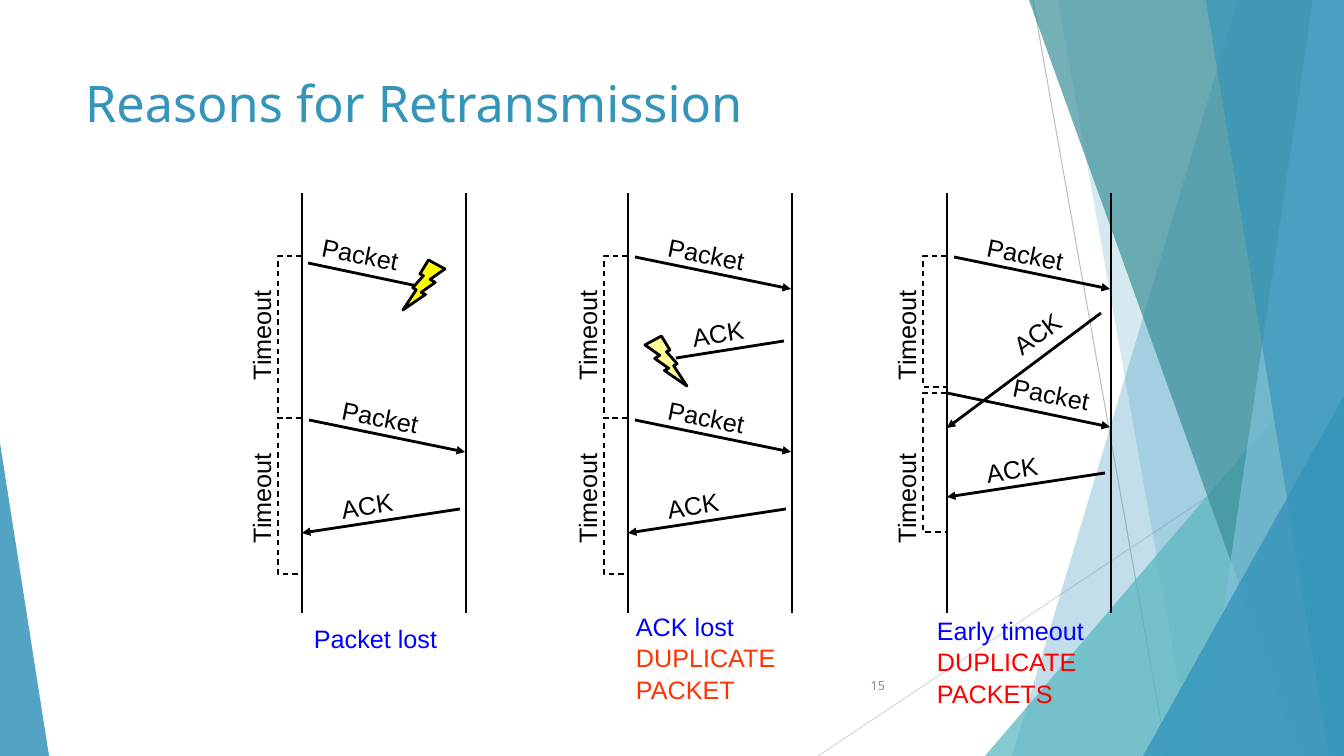
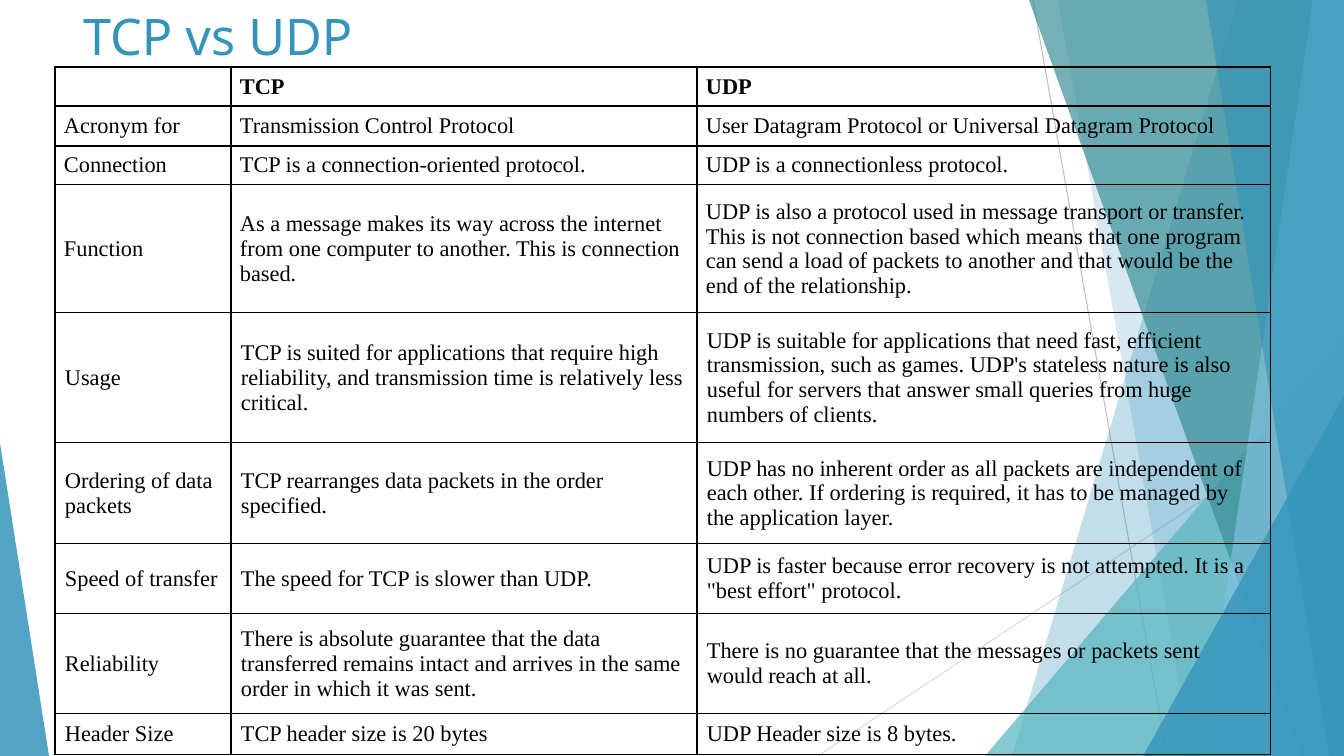
"""Build two slides on packet loss and on TCP against UDP."""
from dataclasses import dataclass
from typing import NamedTuple

from lxml import etree
from pptx import Presentation
from pptx.dml.color import RGBColor
from pptx.enum.dml import MSO_LINE
from pptx.enum.shapes import MSO_CONNECTOR, MSO_SHAPE
from pptx.enum.text import MSO_ANCHOR, MSO_AUTO_SIZE, PP_ALIGN
from pptx.oxml.ns import qn
from pptx.util import Emu, Pt

PX = 914400 / 100.8
WIDE, HIGH = 1344, 756
DASH = MSO_LINE.DASH
STRAIGHT = MSO_CONNECTOR.STRAIGHT
BOLT, TRIANGLE = MSO_SHAPE.LIGHTNING_BOLT, MSO_SHAPE.ISOSCELES_TRIANGLE
TOP, MIDDLE = MSO_ANCHOR.TOP, MSO_ANCHOR.MIDDLE
NO_FIT = MSO_AUTO_SIZE.NONE
LEFT, RIGHT = PP_ALIGN.LEFT, PP_ALIGN.RIGHT
HEAD_FONT, BODY_FONT, CELL_FONT = "Noto Sans", "Arial", "Times New Roman"

BLACK = RGBColor(0x00, 0x00, 0x00)
BLUE = RGBColor(0x34, 0x94, 0xBA)
AQUA = RGBColor(0x58, 0xB6, 0xC0)
TEAL = RGBColor(0x3A, 0x8F, 0x98)
SKY = RGBColor(0x7F, 0xC1, 0xDB)
SILVER = RGBColor(0xBF, 0xBF, 0xBF)
PALE = RGBColor(0xD9, 0xD9, 0xD9)
GREY = RGBColor(0x8C, 0x8C, 0x8C)
INK = RGBColor(0x00, 0x00, 0xFF)
ORANGE = RGBColor(0xFF, 0x33, 0x00)
RED = RGBColor(0xFF, 0x00, 0x00)
YELLOW = RGBColor(0xFF, 0xFF, 0x00)
CREAM = RGBColor(0xFF, 0xFF, 0x99)


class Spot(NamedTuple):
    """A point in pixels."""
    x: int
    y: int


class Box(NamedTuple):
    """A frame in pixels."""
    x: int
    y: int
    wide: int
    high: int


@dataclass(frozen=True)
class Band:
    """A backdrop band from the top edge to the foot, out to the right edge."""
    top: int
    foot: int
    tint: RGBColor
    alpha: int


@dataclass(frozen=True)
class Wedge:
    """A backdrop triangle whose tip is at 0 (left) or 1 (right)."""
    box: Box
    tip: int
    tint: RGBColor
    alpha: int


@dataclass(frozen=True)
class Message:
    """An arrow with its label; x counts from the sender's line."""
    text: str
    start: Spot
    end: Spot
    label: Spot
    turn: float
    lost: bool = False


@dataclass(frozen=True)
class Panel:
    """One case: its line, messages, timeout spans, bolt and caption."""
    x: int
    sends: tuple[Message, ...]
    spans: tuple[tuple[int, int], ...]
    note: Box
    cause: str
    effect: tuple[str, ...] = ()
    tint: RGBColor = RED
    bolt: Spot | None = None
    glow: RGBColor = YELLOW
    flip: bool = False


def packet(y: int, x: int = 7) -> Message:
    """Give a packet that arrives."""
    return Message("Packet", Spot(x, y), Spot(163, y + 32), Spot(30, y - 23), 11.5)


def reply(y: int) -> Message:
    """Give an ACK that arrives."""
    return Message("ACK", Spot(158, y), Spot(0, y + 24), Spot(29, y - 24), 351.2)


BACKDROP = (
    Band(1238, 1012, BLUE, 30),
    Band(1058, 1192, BLUE, 20),
    Wedge(Box(985, 336, 359, 420), 1, AQUA, 72),
    Band(1029, 1301, TEAL, 70),
    Band(1313, 1202, SKY, 70),
    Band(1206, 1329, BLUE, 65),
    Wedge(Box(1143, 396, 201, 360), 1, BLUE, 80),
    Wedge(Box(0, 443, 49, 313), 0, BLUE, 85),
)
FULL = ((256, 418), (418, 574))
PANELS = (
    Panel(302, (Message("Packet", Spot(6, 263), Spot(120, 287), Spot(10, 234), 11.5, True),
                packet(420), reply(509)),
          FULL, Box(2, 618, 145, 40), "Packet lost", bolt=Spot(101, 260), flip=True),
    Panel(628, (packet(257),
                Message("ACK", Spot(156, 341), Spot(48, 358), Spot(54, 313), 351.2, True),
                packet(420), reply(509)),
          FULL, Box(-2, 606, 168, 102), "ACK lost", ("DUPLICATE", "PACKET"), ORANGE,
          Spot(17, 336), CREAM),
    Panel(947, (packet(257),
                Message("ACK", Spot(154, 313), Spot(0, 428), Spot(54, 313), 323.4),
                Message("Packet", Spot(0, 393), Spot(163, 427), Spot(56, 374), 11.5),
                reply(473)),
          ((256, 387), (393, 532)), Box(-20, 610, 168, 102),
          "Early timeout", ("DUPLICATE", "PACKETS")),
)
COLS = (176, 466, 574)
ROWS = (39, 40, 39, 128, 130, 101, 70, 100, 41)
CELLS = (
    ("", "TCP", "UDP"),
    ("Acronym for", "Transmission Control Protocol",
     "User Datagram Protocol or Universal Datagram Protocol"),
    ("Connection", "TCP is a connection-oriented protocol.",
     "UDP is a connectionless protocol."),
    ("Function", "As a message makes its way across the internet from one computer to "
     "another. This is connection based.",
     "UDP is also a protocol used in message transport or transfer. This is not connection "
     "based which means that one program can send a load of packets to another and that "
     "would be the end of the relationship."),
    ("Usage", "TCP is suited for applications that require high reliability, and "
     "transmission time is relatively less critical.",
     "UDP is suitable for applications that need fast, efficient transmission, such as "
     "games. UDP's stateless nature is also useful for servers that answer small queries "
     "from huge numbers of clients."),
    ("Ordering of data packets", "TCP rearranges data packets in the order specified.",
     "UDP has no inherent order as all packets are independent of each other. If ordering "
     "is required, it has to be managed by the application layer."),
    ("Speed of transfer", "The speed for TCP is slower than UDP.",
     "UDP is faster because error recovery is not attempted. It is a \"best effort\" "
     "protocol."),
    ("Reliability", "There is absolute guarantee that the data transferred remains intact "
     "and arrives in the same order in which it was sent.",
     "There is no guarantee that the messages or packets sent would reach at all."),
    ("Header Size", "TCP header size is 20 bytes", "UDP Header size is 8 bytes."),
)


def emu(*sizes: int) -> list[Emu]:
    """Turn pixels into EMU."""
    return [Emu(round(size * PX)) for size in sizes]


def write(para, text: str, size: int, font: str, tint: RGBColor, bold: bool = False) -> None:
    """Add one run to a paragraph."""
    run = para.add_run()
    run.text = text
    run.font.size, run.font.name, run.font.bold = Pt(size), font, bold
    run.font.color.rgb = tint


def add_box(slide, box: Box, turn: float = 0, wrap: bool = False):
    """Add an empty text box and return its text frame."""
    shape = slide.shapes.add_textbox(*emu(*box))
    shape.rotation = turn
    frame = shape.text_frame
    frame.word_wrap, frame.vertical_anchor = wrap, MIDDLE
    return frame


def add_line(slide, start: Spot, end: Spot, tint: RGBColor = BLACK,
             weight: float = 2, arrow: bool = False):
    """Add a straight line, with an arrowhead at its end if asked."""
    line = slide.shapes.add_connector(STRAIGHT, *emu(*start, *end))
    line.line.color.rgb, line.line.width = tint, Pt(weight)
    props = line.element.spPr
    if arrow:
        etree.SubElement(props.find(qn("a:ln")), qn("a:tailEnd"), type="triangle")
    etree.SubElement(props, qn("a:effectLst"))
    return line


def add_path(slide, spots: list[Spot], close: bool):
    """Add an outline through the given points."""
    pen = slide.shapes.build_freeform(*spots[0], scale=PX)
    pen.add_line_segments(spots[1:], close=close)
    shape = pen.convert_to_shape()
    shape.shadow.inherit = False
    return shape


def add_shade(slide, part: Band | Wedge):
    """Add one see-through part of the backdrop."""
    if isinstance(part, Band):
        shape = add_path(slide, [Spot(part.top, 0), Spot(WIDE, 0), Spot(WIDE, HIGH),
                                 Spot(part.foot, HIGH)], True)
    else:
        shape = slide.shapes.add_shape(TRIANGLE, *emu(*part.box))
        shape.adjustments[0] = part.tip
        shape.shadow.inherit = False
    shape.fill.solid()
    shape.fill.fore_color.rgb = part.tint
    shape.line.fill.background()
    tone = shape.element.spPr.find(qn("a:solidFill"))[0]
    etree.SubElement(tone, qn("a:alpha"), val=str(part.alpha * 1000))
    return shape


def set_layout(layout, slide) -> None:
    """Clear the layout's footers and move the backdrop onto it."""
    for holder in list(layout.placeholders):
        if holder.placeholder_format.idx:
            holder.element.getparent().remove(holder.element)
    parts = [add_line(slide, Spot(1033, 0), Spot(1167, HIGH), SILVER, 0.75),
             add_line(slide, Spot(WIDE, 406), Spot(818, HIGH), PALE, 0.75)]
    parts += [add_shade(slide, part) for part in BACKDROP]
    for part in parts:
        layout.shapes.element.append(part.element)


def set_title(slide, text: str, x: int, y: int) -> None:
    """Place and fill the title."""
    title = slide.shapes.title
    title.left, title.top, title.width, title.height = emu(x, y, 948, 145)
    frame = title.text_frame
    frame.auto_size, frame.vertical_anchor = NO_FIT, TOP
    frame.paragraphs[0].alignment = LEFT
    write(frame.paragraphs[0], text, 36, HEAD_FONT, BLUE)


def add_send(slide, x: int, send: Message) -> None:
    """Draw one message arrow and its label."""
    start, end = (Spot(x + spot.x, spot.y) for spot in (send.start, send.end))
    add_line(slide, start, end, arrow=not send.lost)
    wide = 98 if send.text == "Packet" else 73
    frame = add_box(slide, Box(x + send.label.x, send.label.y, wide, 40), send.turn)
    write(frame.paragraphs[0], send.text, 18, BODY_FONT, BLACK)


def add_span(slide, x: int, top: int, foot: int) -> None:
    """Draw the dashed bracket of a timeout."""
    shape = add_path(slide, [Spot(x, top), Spot(x - 24, top), Spot(x - 24, foot),
                             Spot(x, foot)], False)
    shape.fill.background()
    shape.line.color.rgb, shape.line.width = BLACK, Pt(1)
    shape.line.dash_style = DASH


def add_panel(slide, panel: Panel) -> None:
    """Draw one case of the timing chart."""
    x = panel.x
    for send in panel.sends:
        add_send(slide, x, send)
    for (top, foot), y in zip(panel.spans, (303, 466)):
        add_span(slide, x, top, foot)
        frame = add_box(slide, Box(x - 108, y, 134, 40), 270, True)
        write(frame.paragraphs[0], "Timeout", 18, BODY_FONT, BLACK)
    if panel.bolt:
        bolt = slide.shapes.add_shape(BOLT, *emu(x + panel.bolt.x, panel.bolt.y, 42, 50))
        bolt.shadow.inherit = False
        bolt.fill.solid()
        bolt.fill.fore_color.rgb = panel.glow
        bolt.line.color.rgb, bolt.line.width = BLACK, Pt(2)
        if panel.flip:
            bolt.element.spPr.get_or_add_xfrm().set("flipH", "1")
    for side in (x, x + 164):
        add_line(slide, Spot(side, 193), Spot(side, 613))
    frame = add_box(slide, panel.note._replace(x=x + panel.note.x))
    para = frame.paragraphs[0]
    para.line_spacing = 1.05
    write(para, panel.cause, 18, BODY_FONT, INK)
    if panel.effect:
        para = frame.add_paragraph()
        para.line_spacing = 1.05
        for count, text in enumerate(panel.effect):
            if count:
                para.add_line_break()
            write(para, text, 18, BODY_FONT, panel.tint)


def add_grid(slide) -> None:
    """Draw the table with thin black borders and no fill."""
    frame = slide.shapes.add_table(len(ROWS), len(COLS), *emu(55, 67, sum(COLS), sum(ROWS)))
    table = frame.table
    table.first_row = table.horz_banding = False
    for col, size in zip(table.columns, emu(*COLS)):
        col.width = size
    for row, size in zip(table.rows, emu(*ROWS)):
        row.height = size
    for i, texts in enumerate(CELLS):
        side, edge = emu(9, 4) if i < 4 else emu(10, 5)
        for j, text in enumerate(texts):
            cell = table.cell(i, j)
            cell.vertical_anchor = MIDDLE
            cell.margin_left = cell.margin_right = side
            cell.margin_top = cell.margin_bottom = edge
            cell.fill.background()
            if text:
                write(cell.text_frame.paragraphs[0], text, 16, CELL_FONT, BLACK, i == 0)
    for props in frame.element.iter(qn("a:tcPr")):
        for k, name in enumerate(("a:lnL", "a:lnR", "a:lnT", "a:lnB")):
            rule = etree.Element(qn(name), w=str(Pt(1)))
            fill = etree.SubElement(rule, qn("a:solidFill"))
            etree.SubElement(fill, qn("a:srgbClr"), val=str(BLACK))
            props.insert(k, rule)


def main() -> None:
    """Build and save the deck."""
    deck = Presentation()
    deck.slide_width, deck.slide_height = emu(WIDE, HIGH)
    layout = deck.slide_layouts[5]
    causes = deck.slides.add_slide(layout)
    set_layout(layout, causes)
    set_title(causes, "Reasons for Retransmission", 75, 67)
    for panel in PANELS:
        add_panel(causes, panel)
    number = add_box(causes, Box(794, 666, 101, 40), wrap=True).paragraphs[0]
    number.alignment = RIGHT
    write(number, "15", 9, HEAD_FONT, GREY)

    versus = deck.slides.add_slide(layout)
    set_title(versus, "TCP vs UDP", 73, 0)
    add_grid(versus)
    deck.save("out.pptx")


main()
